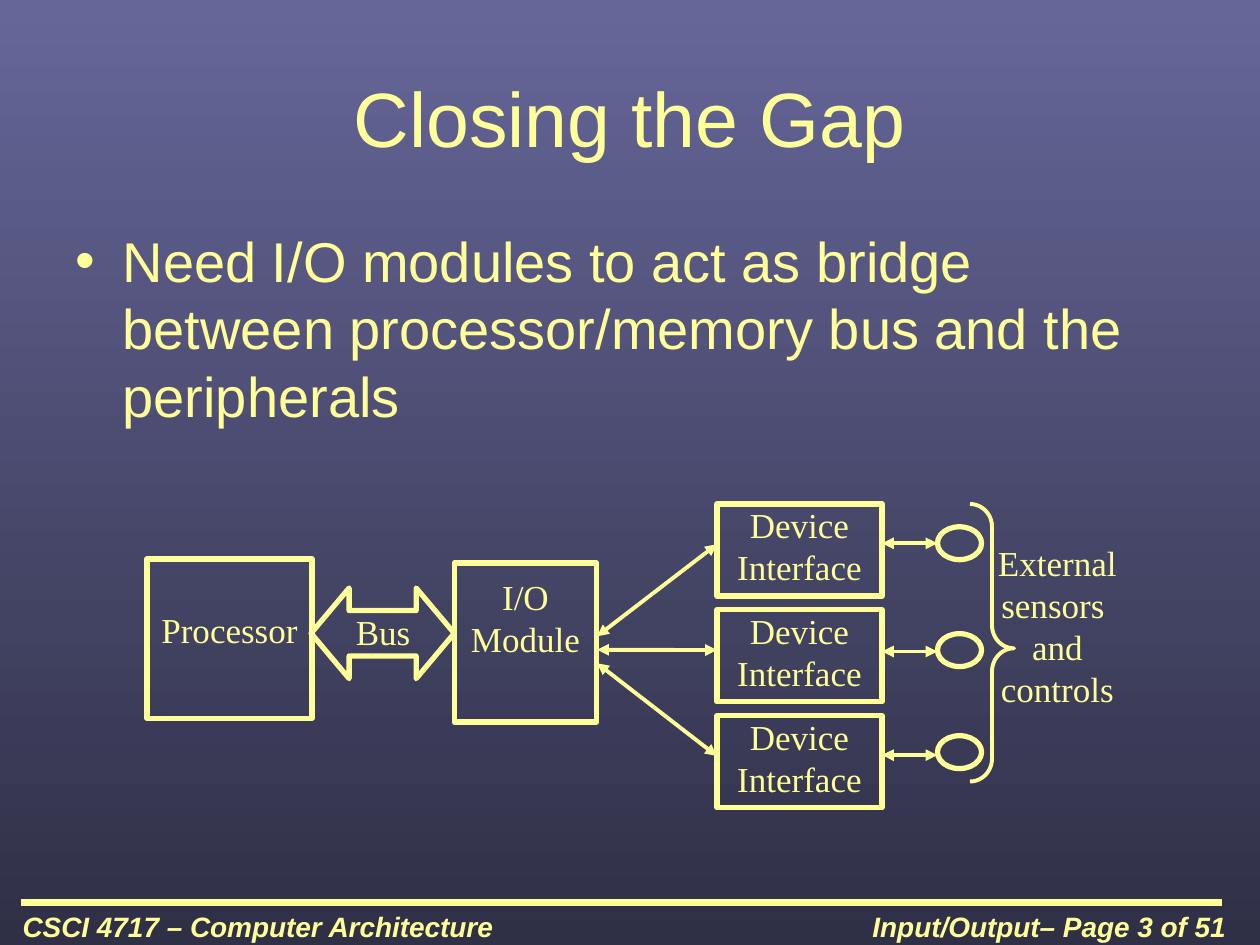
from lxml import etree
from pptx import Presentation
from pptx.dml.color import RGBColor
from pptx.enum import shapes, text
from pptx.oxml import ns
from pptx.util import Pt

COLORS = {"ink": "FFFF99", "top": "666699", "bottom": "2F2F46"}
SHAPE, ALIGN = shapes.MSO_SHAPE, text.PP_ALIGN
INK = RGBColor.from_string(COLORS["ink"])

TITLE = {"name": "Arial", "size": Pt(44)}
BODY = {"name": "Arial", "size": Pt(32)}
LABEL = {"name": "Times New Roman", "size": Pt(20)}
FOOTER = {"name": "Arial", "size": Pt(16), "bold": True, "italic": True}
INSET = (7.2, 3.6, 7.2, 3.6)


def points(*values):
    return [Pt(value) for value in values]


def write(shape, words, font, align=ALIGN.CENTER, insets=(0, 0, 0, 0),
          anchor=text.MSO_ANCHOR.TOP):
    """Put one formatted paragraph in a shape and return the paragraph."""
    frame = shape.text_frame
    frame.text = words
    left, top, right, bottom = points(*insets)
    settings = {"word_wrap": True, "auto_size": text.MSO_AUTO_SIZE.NONE,
                "vertical_anchor": anchor, "margin_left": left, "margin_top": top,
                "margin_right": right, "margin_bottom": bottom}
    for name, value in settings.items():
        setattr(frame, name, value)
    paragraph = frame.paragraphs[0]
    paragraph.alignment = align
    for run in paragraph.runs:
        for name, value in font.items():
            setattr(run.font, name, value)
        run.font.color.rgb = INK
    return paragraph


def add_text(slide, box, words, font, **options):
    return write(slide.shapes.add_textbox(*points(*box)), words, font, **options)


def add_outline(slide, kind, box, weight=3, adjustments=()):
    shape = slide.shapes.add_shape(kind, *points(*box))
    shape.shadow.inherit = False
    shape.fill.background()
    shape.line.color.rgb = INK
    shape.line.width = Pt(weight)
    for index, value in enumerate(adjustments):
        shape.adjustments[index] = value
    return shape


def add_line(slide, start, end, weight=2.25, arrows=True):
    line = slide.shapes.add_connector(shapes.MSO_CONNECTOR.STRAIGHT,
                                      *points(*start, *end))
    line.line.color.rgb = INK
    line.line.width = Pt(weight)
    properties = line.element.spPr
    if arrows:
        outline = properties.find(ns.qn("a:ln"))
        for end_name in ("a:headEnd", "a:tailEnd"):
            etree.SubElement(outline, ns.qn(end_name), type="triangle")
    etree.SubElement(properties, ns.qn("a:effectLst"))


def set_background(slide):
    fill = slide.background.fill
    fill.gradient()
    fill.gradient_angle = 270
    for stop, name in zip(fill.gradient_stops, ("top", "bottom")):
        stop.color.rgb = RGBColor.from_string(COLORS[name])


def place_title(slide, box):
    title = slide.shapes.title
    title.left, title.top, title.width, title.height = points(*box)
    write(title, "Closing the Gap", TITLE, insets=INSET,
          anchor=text.MSO_ANCHOR.MIDDLE)


def place_body(slide, box):
    paragraph = add_text(
        slide, box, "Need I/O modules to act as bridge between "
        "processor/memory bus and the peripherals",
        BODY, align=ALIGN.LEFT, insets=INSET)
    paragraph.space_before = Pt(8)
    properties = paragraph._p.get_or_add_pPr()
    properties.set("marL", str(Pt(27)))
    properties.set("indent", str(Pt(-27)))
    etree.SubElement(properties, ns.qn("a:buFont"), typeface="Arial")
    etree.SubElement(properties, ns.qn("a:buChar"), char="•")


def place_processor_side(slide, box):
    """Processor, bus and I/O module, from left to right."""
    left, top, width, height = box
    processor_width, module_width = 94.3, 81.4
    bus_left = left + processor_width
    module_left = left + width - module_width
    bus_width = module_left - bus_left

    processor = add_outline(slide, SHAPE.RECTANGLE,
                            (left, top, processor_width, height))
    write(processor, "Processor", LABEL, insets=(0, 28.5, 0, 3.6))

    add_outline(slide, SHAPE.LEFT_RIGHT_ARROW,
                (bus_left - 0.5, top + 16.5, bus_width + 0.5, 51.8),
                adjustments=(0.5, 0.42))
    add_text(slide, (bus_left + 12.5, top + 29.5, 56.2, 30.2), "Bus", LABEL)

    module = add_outline(slide, SHAPE.RECTANGLE,
                         (module_left, top + 2.2, module_width, height))
    write(module, "I/O Module", LABEL, insets=(7.2, 7.2, 7.2, 3.6))


def place_devices(slide, box, module_edge):
    """Stacked device interfaces, each joined to the module and a sensor."""
    left, top, width, height = box
    device_width, device_height = 94.3, 52.6
    pitch = (height - device_height) / 2
    right, sensor_left = left + device_width, left + width - 25.2
    # Heights of the module port, sensor arrow and sensor centre in each row
    rows = ((363.6, 310.5, 310.4), (371.3, 372.3, 371.5), (379, 431.5, 429.8))
    for index, (port, arrow, sensor) in enumerate(rows):
        device_top = top + index * pitch
        device = add_outline(slide, SHAPE.RECTANGLE,
                             (left, device_top, device_width, device_height))
        write(device, "Device Interface", LABEL)
        add_line(slide, (module_edge, port), (left, device_top + 23))
        add_line(slide, (right, arrow), (sensor_left, arrow))
        add_outline(slide, SHAPE.OVAL, (sensor_left, sensor - 9.4, 25.2, 18.8))


def place_sensor_label(slide, box):
    left, top, width, height = box
    add_outline(slide, SHAPE.RIGHT_BRACE, (left, top, 25.2, height), 2.25,
                (0.52, 0.52))
    add_text(slide, (left + 12.5, top + 21.5, width - 12.5, 117.4),
             "External sensors \vand controls", LABEL)


def place_footer(slide, box):
    left, top, width, height = box
    add_line(slide, (left + 6.2, top), (left + width - 9.5, top), 4, False)
    half = 365.8
    for start, words, align in (
            (left, "CSCI 4717 – Computer Architecture", ALIGN.LEFT),
            (left + width - half, "Input/Output– Page 3 of 51", ALIGN.RIGHT)):
        add_text(slide, (start, top, half, height), words, FOOTER,
                 align=align, insets=INSET)


def main():
    presentation = Presentation()
    presentation.slide_width, presentation.slide_height = points(720, 540)
    slide = presentation.slides.add_slide(presentation.slide_layouts[5])
    set_background(slide)
    place_footer(slide, (5.8, 516, 702, 26.6))
    place_title(slide, (36, 21.6, 648, 90))
    place_body(slide, (36, 126, 648, 356.4))
    place_processor_side(slide, (84, 319.5, 257, 91))
    place_devices(slide, (409.7, 288, 151.2, 173.6), module_edge=341.2)
    place_sensor_label(slide, (554.3, 288, 87.4, 158.6))
    presentation.save("out.pptx")


if __name__ == "__main__":
    main()
